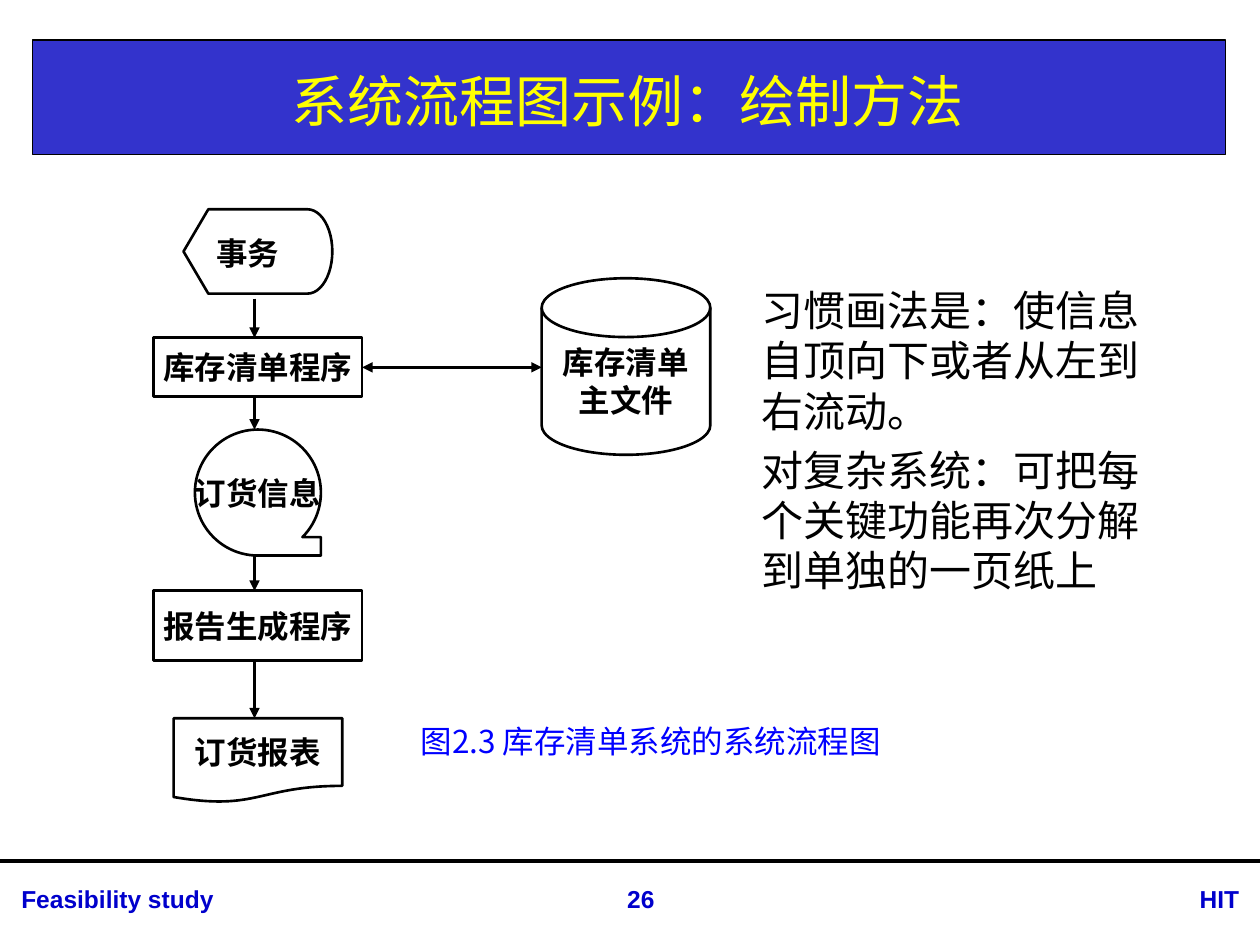
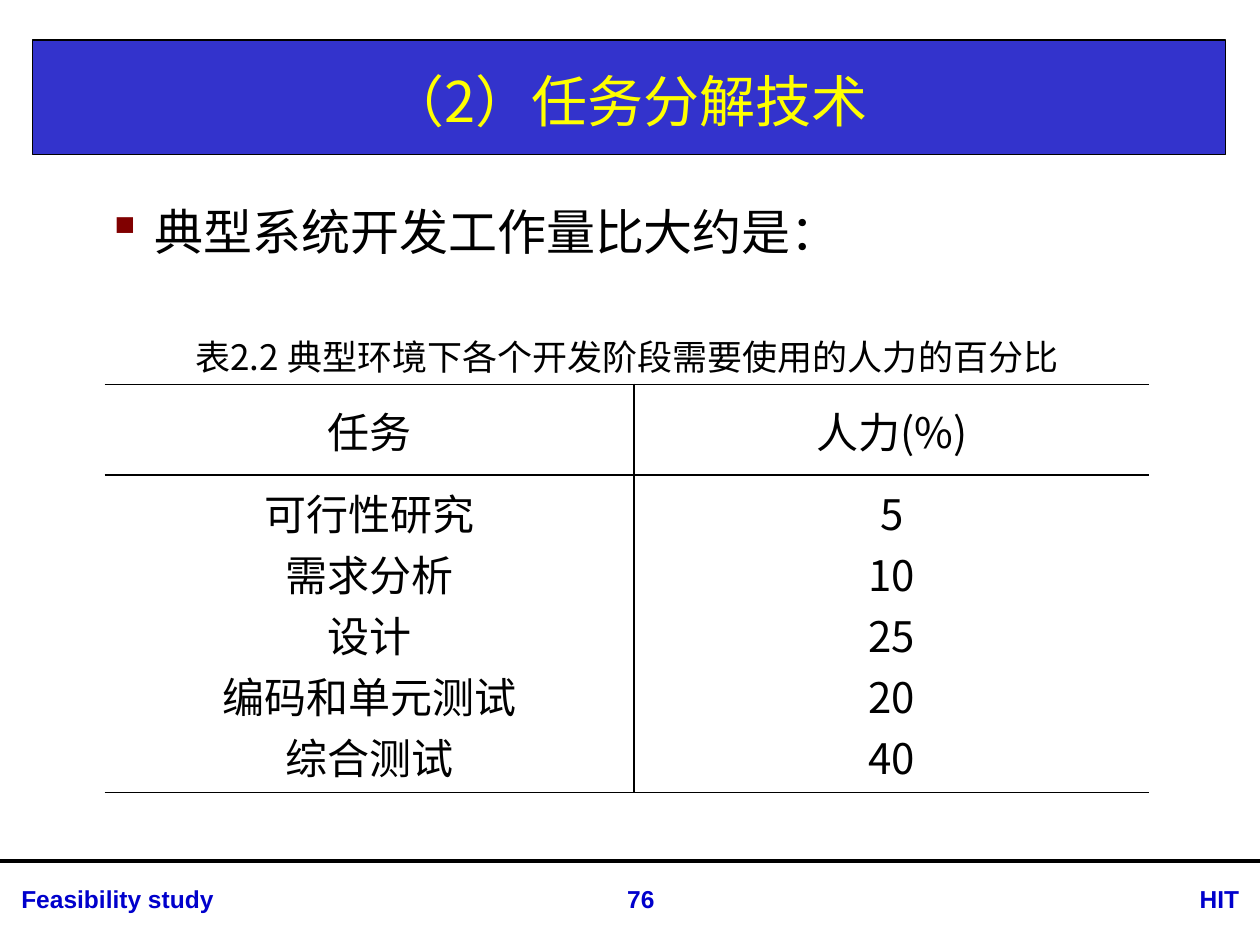
"""Build two feasibility-study slides: a system flowchart and a task effort table."""
from lxml import etree
from pptx import Presentation
from pptx.dml.color import RGBColor
from pptx.enum.shapes import MSO_CONNECTOR, MSO_SHAPE
from pptx.enum.text import MSO_ANCHOR, PP_ALIGN
from pptx.oxml.ns import qn
from pptx.util import Cm, Pt

LEFT, CENTER, RIGHT = PP_ALIGN.LEFT, PP_ALIGN.CENTER, PP_ALIGN.RIGHT
TOP, MIDDLE = MSO_ANCHOR.TOP, MSO_ANCHOR.MIDDLE
RECTANGLE = MSO_SHAPE.RECTANGLE
DISPLAY = MSO_SHAPE.FLOWCHART_DISPLAY
PROCESS = MSO_SHAPE.FLOWCHART_PROCESS
TAPE = MSO_SHAPE.FLOWCHART_SEQUENTIAL_ACCESS_STORAGE
DOCUMENT = MSO_SHAPE.FLOWCHART_DOCUMENT
DISK = MSO_SHAPE.FLOWCHART_MAGNETIC_DISK
STRAIGHT = MSO_CONNECTOR.STRAIGHT

COLORS = {
    "band": "3333CC",
    "title": "FFFF00",
    "footer": "0000CC",
    "caption": "0000FF",
    "bullet": "800000",
    "ink": "000000",
}
ARIAL, SANS, MONO = "Arial", "Noto Sans CJK SC", "Noto Sans Mono"
SLIDE_WIDTH, SLIDE_HEIGHT = 25.4, 19.05
FOOTER_RULE_Y = 17.35

FLOW_TITLE = "系统流程图示例：绘制方法"
FLOW_CENTER, ARROW_X = 5.2, 5.13
FLOW_NODES = [
    {"kind": DISPLAY, "text": "", "top": 4.22, "size": (3, 1.7), "gap": 0.1},
    {"kind": PROCESS, "text": "库存清单程序", "top": 6.81, "size": (4.2, 1.19), "gap": 0},
    {"kind": TAPE, "text": "订货信息", "top": 8.66, "size": (2.54, 2.54), "gap": 0},
    {"kind": PROCESS, "text": "报告生成程序", "top": 11.91, "size": (4.2, 1.4), "gap": 0},
    {"kind": DOCUMENT, "text": "订货报表", "top": 14.48, "size": (3.4, 1.7), "gap": 0},
]
TRANSACTION_LABEL = "事务"
MASTER_FILE = "库存清单主文件"
MASTER_FILE_BOX = (10.92, 5.61, 3.4, 3.56)
DRAWING_NOTES = [
    "习惯画法是：使信息自顶向下或者从左到右流动。",
    "对复杂系统：可把每个关键功能再次分解到单独的一页纸上",
]
FLOW_CAPTION = "图2.3 库存清单系统的系统流程图"

TASK_TITLE = "（2）任务分解技术"
TASK_LEAD = "典型系统开发工作量比大约是："
TASK_CAPTION = "表2.2 典型环境下各个开发阶段需要使用的人力的百分比"
EFFORT_HEADER = ("任务", "人力(%)")
EFFORT = [
    ("可行性研究", "5"),
    ("需求分析", "10"),
    ("设计", "25"),
    ("编码和单元测试", "20"),
    ("综合测试", "40"),
]
EFFORT_COLUMNS = (10.67, 10.39)
EFFORT_ROWS = (1.83, 6.4)


def color(name):
    return RGBColor.from_string(COLORS[name])


def write(text_frame, lines, size, font, ink="ink", bold=False, align=LEFT, anchor=TOP, wrap=True):
    text_frame.text = "\n".join(lines)
    text_frame.word_wrap = wrap
    text_frame.vertical_anchor = anchor
    for paragraph in text_frame.paragraphs:
        paragraph.alignment = align
        for run in paragraph.runs:
            run.font.size = Pt(size)
            run.font.name = font
            run.font.bold = bold
            run.font.color.rgb = color(ink)
            east_asian = etree.Element(qn("a:ea"), typeface=font)
            run.font._element.find(qn("a:latin")).addnext(east_asian)


def add_text(slide, box, lines, size, font, **style):
    text_box = slide.shapes.add_textbox(*map(Cm, box))
    write(text_box.text_frame, lines, size, font, **style)
    return text_box


def add_outlined(slide, kind, box, width, fill=None):
    shape = slide.shapes.add_shape(kind, *map(Cm, box))
    shape.shadow.inherit = False
    if fill:
        shape.fill.solid()
        shape.fill.fore_color.rgb = color(fill)
    else:
        shape.fill.background()
    shape.line.color.rgb = color("ink")
    shape.line.width = Pt(width)
    return shape


def add_line(slide, start, end, width, arrow_ends=()):
    connector = slide.shapes.add_connector(STRAIGHT, *map(Cm, start + end))
    connector.line.color.rgb = color("ink")
    connector.line.width = Pt(width)
    properties = connector._element.spPr
    for arrow_end in arrow_ends:
        etree.SubElement(properties.find(qn("a:ln")), qn(f"a:{arrow_end}"), type="triangle")
    etree.SubElement(properties, qn("a:effectLst"))


def add_base_slide(presentation, title, number):
    slide = presentation.slides.add_slide(presentation.slide_layouts[6])
    add_outlined(slide, RECTANGLE, (0.66, 0.81, 24.05, 2.31), 0.75, "band")
    add_line(slide, (0, FOOTER_RULE_Y), (SLIDE_WIDTH, FOOTER_RULE_Y), 2.25)
    footers = [
        (0.18, 9.78, "Feasibility study", LEFT),
        (22.61, 2.62, "HIT", RIGHT),
        (11.61, 2.62, number, CENTER),
    ]
    for left, width, text, align in footers:
        add_text(slide, (left, 17.7, width, 0.86), [text], 14, ARIAL,
                 ink="footer", bold=True, align=align)
    add_text(slide, (0.66, 0.91, 24, 2.21), [title], 32, SANS,
             ink="title", align=CENTER, anchor=MIDDLE)
    return slide


def add_flow_node(slide, kind, box, text, wrap=False):
    shape = add_outlined(slide, kind, box, 1.5)
    if text:
        write(shape.text_frame, [text], 18, ARIAL, bold=True,
              align=CENTER, anchor=MIDDLE, wrap=wrap)


def build_flow_slide(presentation):
    slide = add_base_slide(presentation, FLOW_TITLE, "26")
    for node in FLOW_NODES:
        width, height = node["size"]
        box = (FLOW_CENTER - width / 2, node["top"], width, height)
        add_flow_node(slide, node["kind"], box, node["text"])
    for upper, lower in zip(FLOW_NODES, FLOW_NODES[1:]):
        start_y = upper["top"] + upper["size"][1] + upper["gap"]
        add_line(slide, (ARROW_X, start_y), (ARROW_X, lower["top"]), 1.5, ["tailEnd"])
    add_text(slide, (4.11, 4.6, 2.46, 1.02), [TRANSACTION_LABEL], 18, ARIAL, bold=True)

    add_flow_node(slide, DISK, MASTER_FILE_BOX, MASTER_FILE, wrap=True)
    inventory = FLOW_NODES[1]
    link_start = FLOW_CENTER + inventory["size"][0] / 2
    link_y = inventory["top"] + inventory["size"][1] / 2
    add_line(slide, (link_start, link_y), (MASTER_FILE_BOX[0], link_y), 1.5,
             ["headEnd", "tailEnd"])

    notes = add_text(slide, (15.11, 5.61, 8.2, 6.63), DRAWING_NOTES, 24, MONO)
    for paragraph in notes.text_frame.paragraphs:
        paragraph.line_spacing = Pt(28.8)
    for paragraph in notes.text_frame.paragraphs[1:]:
        paragraph.space_before = Pt(4.8)
    add_text(slide, (8.23, 14.43, 10.6, 1.02), [FLOW_CAPTION], 18, SANS,
             ink="caption", anchor=MIDDLE)


def add_bullet(paragraph):
    properties = paragraph._p.get_or_add_pPr()
    properties.set("marL", str(Cm(0.97)))
    properties.set("indent", str(-Cm(0.97)))
    bullet_color = etree.SubElement(properties, qn("a:buClr"))
    etree.SubElement(bullet_color, qn("a:srgbClr"), val=COLORS["bullet"])
    etree.SubElement(properties, qn("a:buChar"), char="▪")


def set_borders(cell, sides):
    properties = cell._tc.get_or_add_tcPr()
    for index, side in enumerate("LRTB"):
        border = etree.Element(qn(f"a:ln{side}"), w=str(Pt(1)))
        if side in sides:
            fill = etree.SubElement(border, qn("a:solidFill"))
            etree.SubElement(fill, qn("a:srgbClr"), val=COLORS["ink"])
        else:
            etree.SubElement(border, qn("a:noFill"))
        properties.insert(index, border)


def add_effort_table(slide):
    frame = slide.shapes.add_table(2, 2, Cm(2.11), Cm(7.75),
                                   Cm(sum(EFFORT_COLUMNS)), Cm(sum(EFFORT_ROWS)))
    table = frame.table
    table.first_row = table.horz_banding = False
    for row, height in zip(table.rows, EFFORT_ROWS):
        row.height = Cm(height)
    for index, width in enumerate(EFFORT_COLUMNS):
        table.columns[index].width = Cm(width)
        contents = ([EFFORT_HEADER[index]], [record[index] for record in EFFORT])
        for row_index, lines in enumerate(contents):
            cell = table.cell(row_index, index)
            cell.fill.background()
            cell.vertical_anchor = MIDDLE
            write(cell.text_frame, lines, 24, SANS, align=CENTER, anchor=None, wrap=None)
            set_borders(cell, "RTB" if index == 0 else "LTB")


def build_task_slide(presentation):
    slide = add_base_slide(presentation, TASK_TITLE, "76")
    lead = add_text(slide, (1.9, 3.94, 22, 1.7), [TASK_LEAD], 28, SANS)
    add_bullet(lead.text_frame.paragraphs[0])
    add_effort_table(slide)
    add_text(slide, (2.62, 6.63, 20.04, 1.12), [TASK_CAPTION], 20, SANS,
             align=CENTER, anchor=MIDDLE)


def main():
    presentation = Presentation()
    presentation.slide_width = Cm(SLIDE_WIDTH)
    presentation.slide_height = Cm(SLIDE_HEIGHT)
    build_flow_slide(presentation)
    build_task_slide(presentation)
    presentation.save("out.pptx")


if __name__ == "__main__":
    main()
